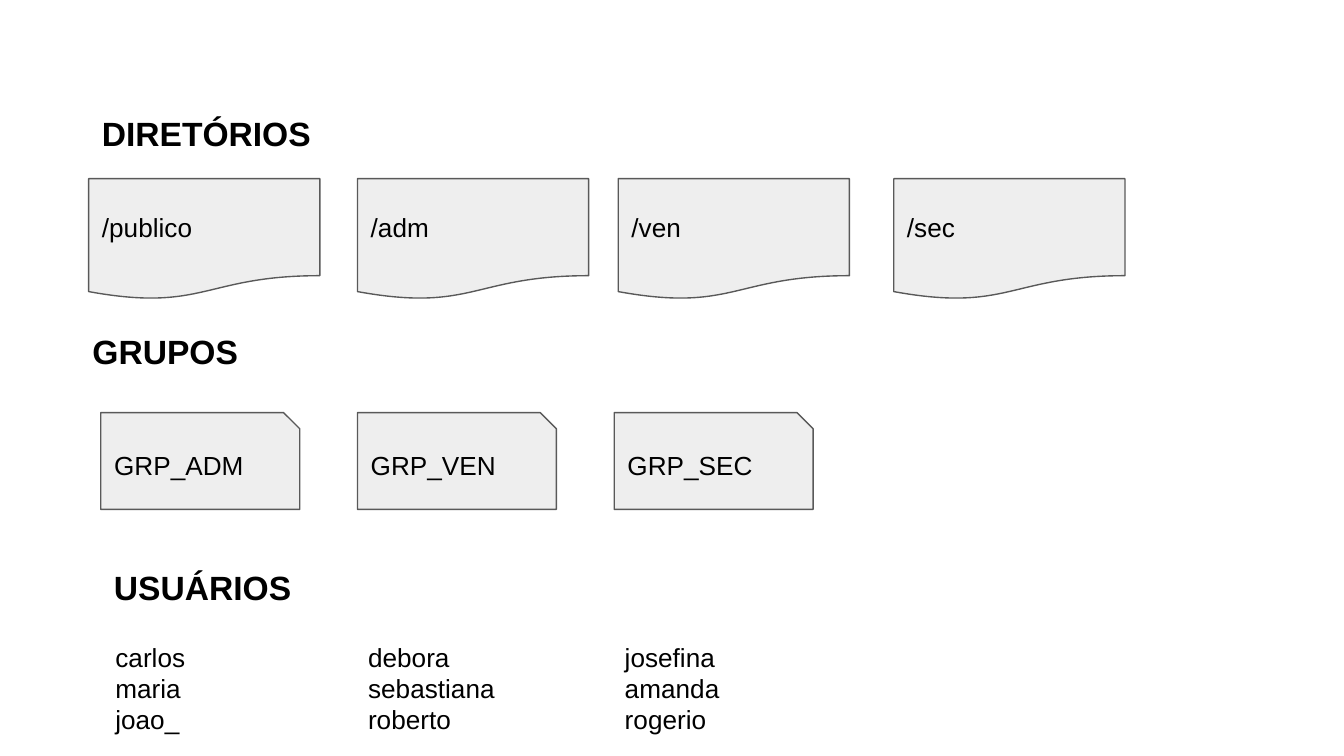
from dataclasses import dataclass

from pptx import Presentation
from pptx.dml.color import RGBColor
from pptx.enum.shapes import MSO_SHAPE as Preset
from pptx.enum.text import MSO_ANCHOR as Anchor, MSO_AUTO_SIZE as AutoSize, PP_ALIGN as Align
from pptx.util import Inches, Pt

COLORS = {"text": "000000", "card": "EEEEEE", "outline": "595959"}
FONT = "Arial"
SLIDE_WIDTH = Inches(10)
SLIDE_HEIGHT = SLIDE_WIDTH * 9 // 16
CELL = SLIDE_WIDTH // 100  # square grid, 100 columns across the slide


@dataclass(frozen=True)
class Box:
    col: float
    row: float
    cols: float
    rows: float

    def emu(self) -> list[int]:
        return [round(n * CELL) for n in (self.col, self.row, self.cols, self.rows)]


@dataclass(frozen=True)
class Item:
    text: str
    box: Box


def rgb(name: str) -> RGBColor:
    return RGBColor.from_string(COLORS[name])


def write(shape, text: str, *, size: int = 14, bold: bool = False, anchor=Anchor.TOP) -> None:
    """Fill a shape with text, one paragraph per line."""
    frame = shape.text_frame
    frame.word_wrap = True
    frame.vertical_anchor = anchor
    frame.margin_left = frame.margin_right = frame.margin_top = frame.margin_bottom = Inches(0.1)
    frame.text = text
    for paragraph in frame.paragraphs:
        paragraph.alignment = Align.LEFT
        for run in paragraph.runs:
            run.font.name = FONT
            run.font.size = Pt(size)
            run.font.bold = bold
            run.font.color.rgb = rgb("text")


def draw_card(slide, item: Item, preset: Preset) -> None:
    card = slide.shapes.add_shape(preset, *item.box.emu())
    card.shadow.inherit = False
    card.fill.solid()
    card.fill.fore_color.rgb = rgb("card")
    card.line.color.rgb = rgb("outline")
    card.line.width = Pt(0.75)
    write(card, item.text, anchor=Anchor.MIDDLE)


def draw_text(slide, item: Item, *, size: int = 14, bold: bool = False) -> None:
    label = slide.shapes.add_textbox(*item.box.emu())
    write(label, item.text, size=size, bold=bold)
    label.text_frame.auto_size = AutoSize.SHAPE_TO_FIT_TEXT


HEADINGS = [
    Item("DIRETÓRIOS", Box(6.6, 7.4, 25.4, 5)),
    Item("GRUPOS", Box(5.9, 23.6, 25.4, 5)),
    Item("USUÁRIOS", Box(7.5, 41.2, 25.4, 5)),
]
DIRECTORIES = [
    Item(name, Box(col, 13.3, 17.2, 9))
    for name, col in [("/publico", 6.6), ("/adm", 26.6), ("/ven", 46), ("/sec", 66.5)]
]
GROUPS = [
    Item(name, Box(7.5 + 19.1 * i, 30.7, 14.8, 7.2))
    for i, name in enumerate(["GRP_ADM", "GRP_VEN", "GRP_SEC"])
]
USERS = [
    Item("\n".join(names), Box(col, 46.7, 15.1, 9.1))
    for col, names in [
        (7.6, ["carlos", "maria", "joao_"]),
        (26.4, ["debora", "sebastiana", "roberto"]),
        (45.5, ["josefina", "amanda", "rogerio"]),
    ]
]


def main() -> None:
    deck = Presentation()
    deck.slide_width, deck.slide_height = SLIDE_WIDTH, SLIDE_HEIGHT
    slide = deck.slides.add_slide(deck.slide_layouts[6])

    # Directories and groups
    for directory in DIRECTORIES:
        draw_card(slide, directory, Preset.FLOWCHART_DOCUMENT)
    for group in GROUPS:
        draw_card(slide, group, Preset.SNIP_1_RECTANGLE)

    # Section headings and user lists
    for heading in HEADINGS:
        draw_text(slide, heading, size=18, bold=True)
    for users in USERS:
        draw_text(slide, users)

    deck.save("out.pptx")


if __name__ == "__main__":
    main()
